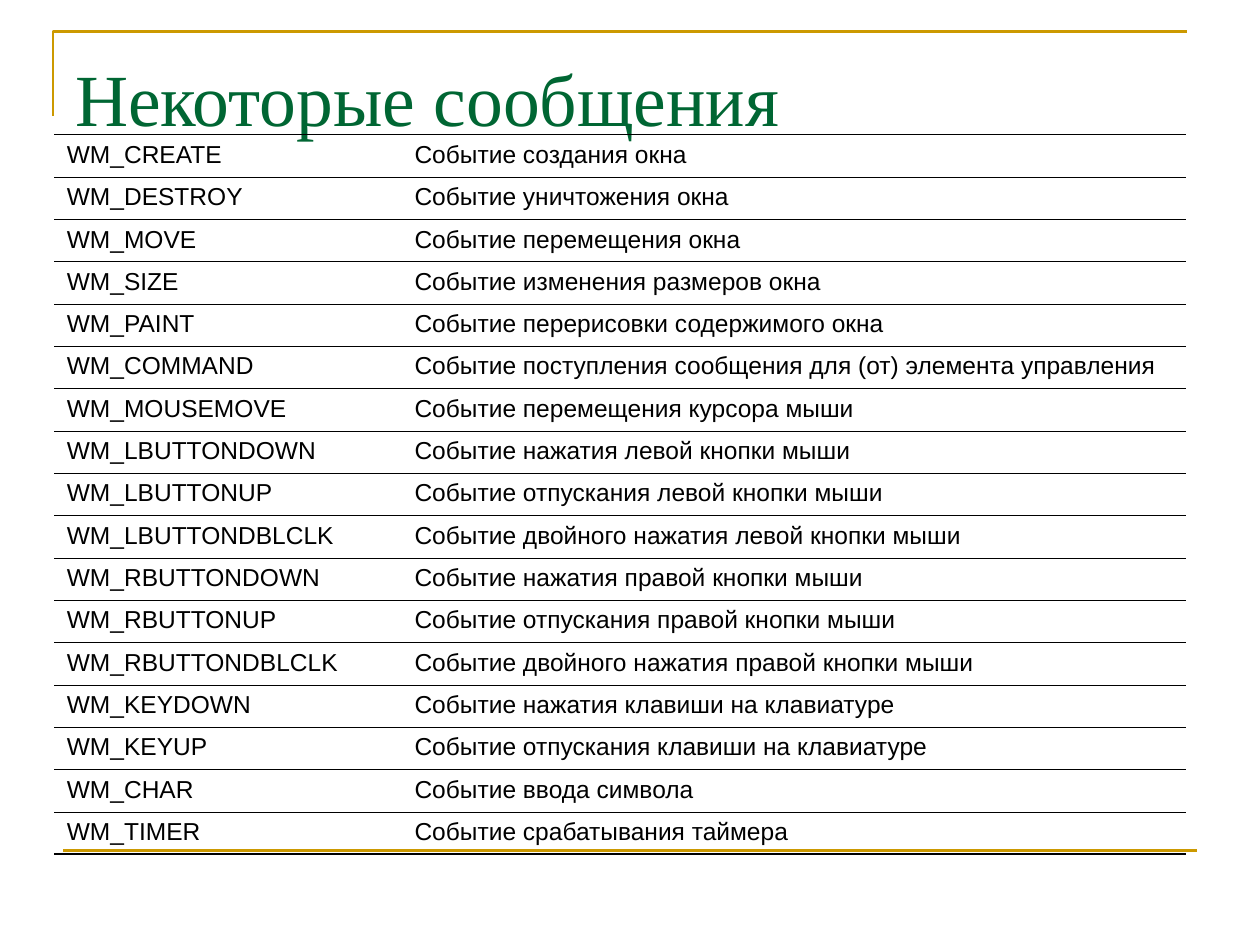
import pptx
import pptx.dml.color
import pptx.enum.shapes
import pptx.enum.text
import pptx.oxml
import pptx.oxml.ns
import pptx.util
from lxml import etree

Inches = pptx.util.Inches
Pt = pptx.util.Pt
COLORS = {"rule": "CC9900", "title": "006633", "text": "000000"}
MESSAGES = [
    ("WM_CREATE", "Событие создания окна"),
    ("WM_DESTROY", "Событие уничтожения окна"),
    ("WM_MOVE", "Событие перемещения окна"),
    ("WM_SIZE", "Событие изменения размеров окна"),
    ("WM_PAINT", "Событие перерисовки содержимого окна"),
    ("WM_COMMAND", "Событие поступления сообщения для (от) элемента управления"),
    ("WM_MOUSEMOVE", "Событие перемещения курсора мыши"),
    ("WM_LBUTTONDOWN", "Событие нажатия левой кнопки мыши"),
    ("WM_LBUTTONUP", "Событие отпускания левой кнопки мыши"),
    ("WM_LBUTTONDBLCLK", "Событие двойного нажатия левой кнопки мыши"),
    ("WM_RBUTTONDOWN", "Событие нажатия правой кнопки мыши"),
    ("WM_RBUTTONUP", "Событие отпускания правой кнопки мыши"),
    ("WM_RBUTTONDBLCLK", "Событие двойного нажатия правой кнопки мыши"),
    ("WM_KEYDOWN", "Событие нажатия клавиши на клавиатуре"),
    ("WM_KEYUP", "Событие отпускания клавиши на клавиатуре"),
    ("WM_CHAR", "Событие ввода символа"),
    ("WM_TIMER", "Событие срабатывания таймера"),
]


def rgb(name):
    return pptx.dml.color.RGBColor.from_string(COLORS[name])


def write_text(frame, text, *, font, size, color, space_before=0):
    paragraph = frame.paragraphs[0]
    paragraph.space_before = Pt(space_before)
    run = paragraph.add_run()
    run.text = text
    run.font.name = font
    run.font.size = Pt(size)
    run.font.color.rgb = rgb(color)


def style_rule(rule):
    rule.line.color.rgb = rgb("rule")
    rule.line.width = Pt(1.5)


def add_corner(slide):
    builder = slide.shapes.build_freeform(Inches(0.42), Inches(0.92))
    builder.add_line_segments(
        [(Inches(0.42), Inches(0.25)), (Inches(9.42), Inches(0.25))], close=False
    )
    corner = builder.convert_to_shape()
    corner.shadow.inherit = False
    corner.fill.background()
    style_rule(corner)


def add_bottom_rule(slide):
    rule = slide.shapes.add_connector(
        pptx.enum.shapes.MSO_CONNECTOR.STRAIGHT,
        Inches(0.5), Inches(6.75), Inches(9.5), Inches(6.75),
    )
    style_rule(rule)
    etree.SubElement(rule.element.spPr, pptx.oxml.ns.qn("a:effectLst"))


def add_title(slide, text):
    frame = slide.shapes.add_textbox(
        Inches(0.5), Inches(0.3), Inches(9), Inches(1.25)
    ).text_frame
    frame.word_wrap = True
    frame.vertical_anchor = pptx.enum.text.MSO_ANCHOR.TOP
    frame.margin_top = Inches(0.12)
    write_text(frame, text, font="Times New Roman", size=42, color="title")


def set_borders(cell, top, bottom):
    properties = cell._tc.get_or_add_tcPr()
    widths = {"lnL": 0, "lnR": 0, "lnT": top, "lnB": bottom}
    for position, (side, width) in enumerate(widths.items()):
        paint = (
            f'<a:solidFill><a:srgbClr val="{COLORS["text"]}"/></a:solidFill>'
            if width else "<a:noFill/>"
        )
        border = pptx.oxml.parse_xml(
            f'<a:{side} {pptx.oxml.ns.nsdecls("a")} w="{int(Pt(width))}">{paint}</a:{side}>'
        )
        properties.insert(position, border)


def add_message_table(slide, messages):
    table = slide.shapes.add_table(
        len(messages), 2, Inches(0.43), Inches(1.07), Inches(8.98), Inches(5.71)
    ).table
    table.first_row = False
    table.horz_banding = False
    for column, width in zip(table.columns, (2.76, 6.22)):
        column.width = Inches(width)
    for row, message in enumerate(messages):
        bottom = 1.08 if row == len(messages) - 1 else 0.45
        for column, text in enumerate(message):
            cell = table.cell(row, column)
            cell.fill.background()
            set_borders(cell, 0.45, bottom)
            write_text(cell.text_frame, text, font="Arial", size=14,
                       color="text", space_before=3.5)


def main():
    deck = pptx.Presentation()
    deck.slide_width, deck.slide_height = Inches(10), Inches(7.5)
    slide = deck.slides.add_slide(deck.slide_layouts[6])
    add_corner(slide)
    add_bottom_rule(slide)
    add_title(slide, "Некоторые сообщения")
    add_message_table(slide, MESSAGES)
    deck.save("out.pptx")


if __name__ == "__main__":
    main()
